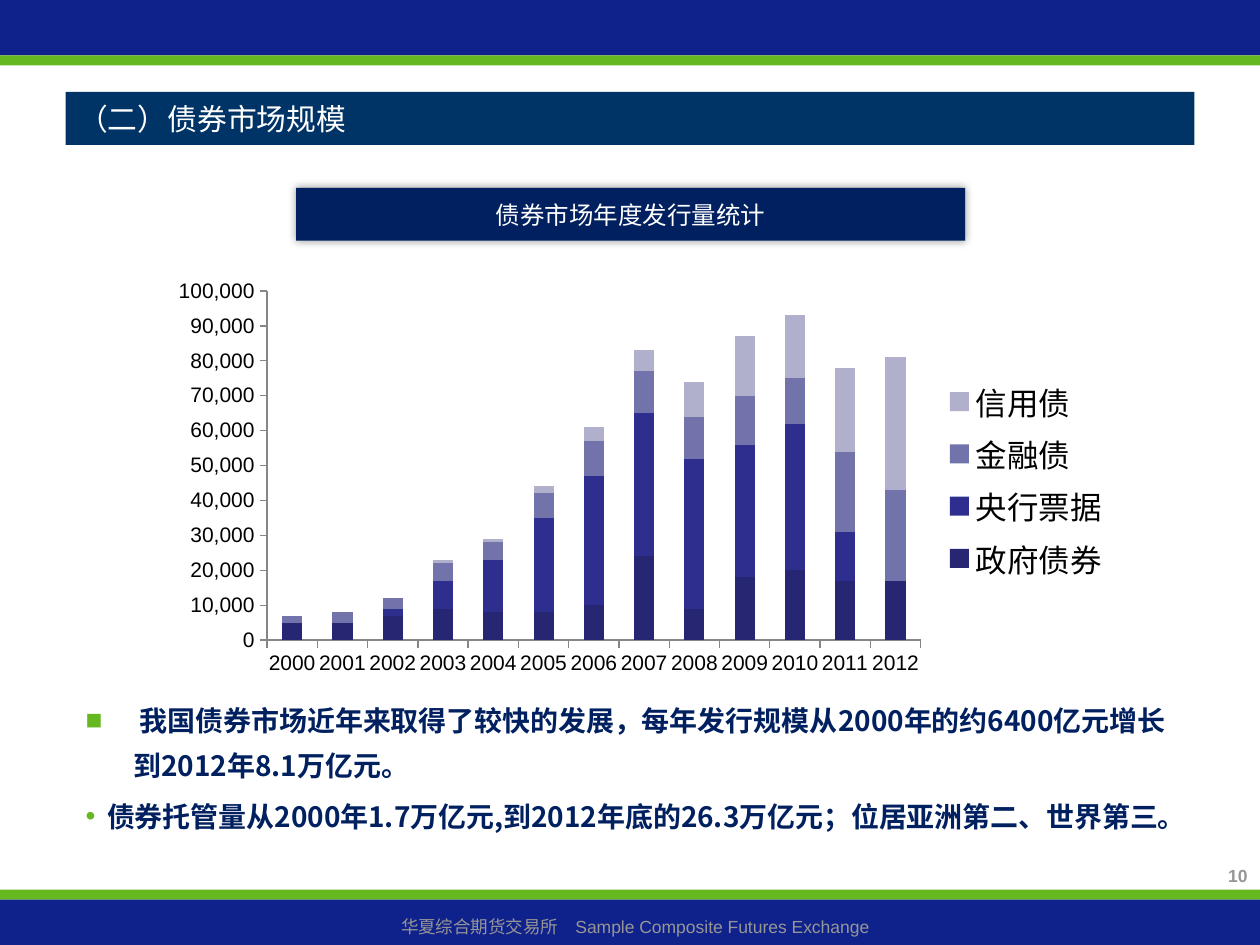
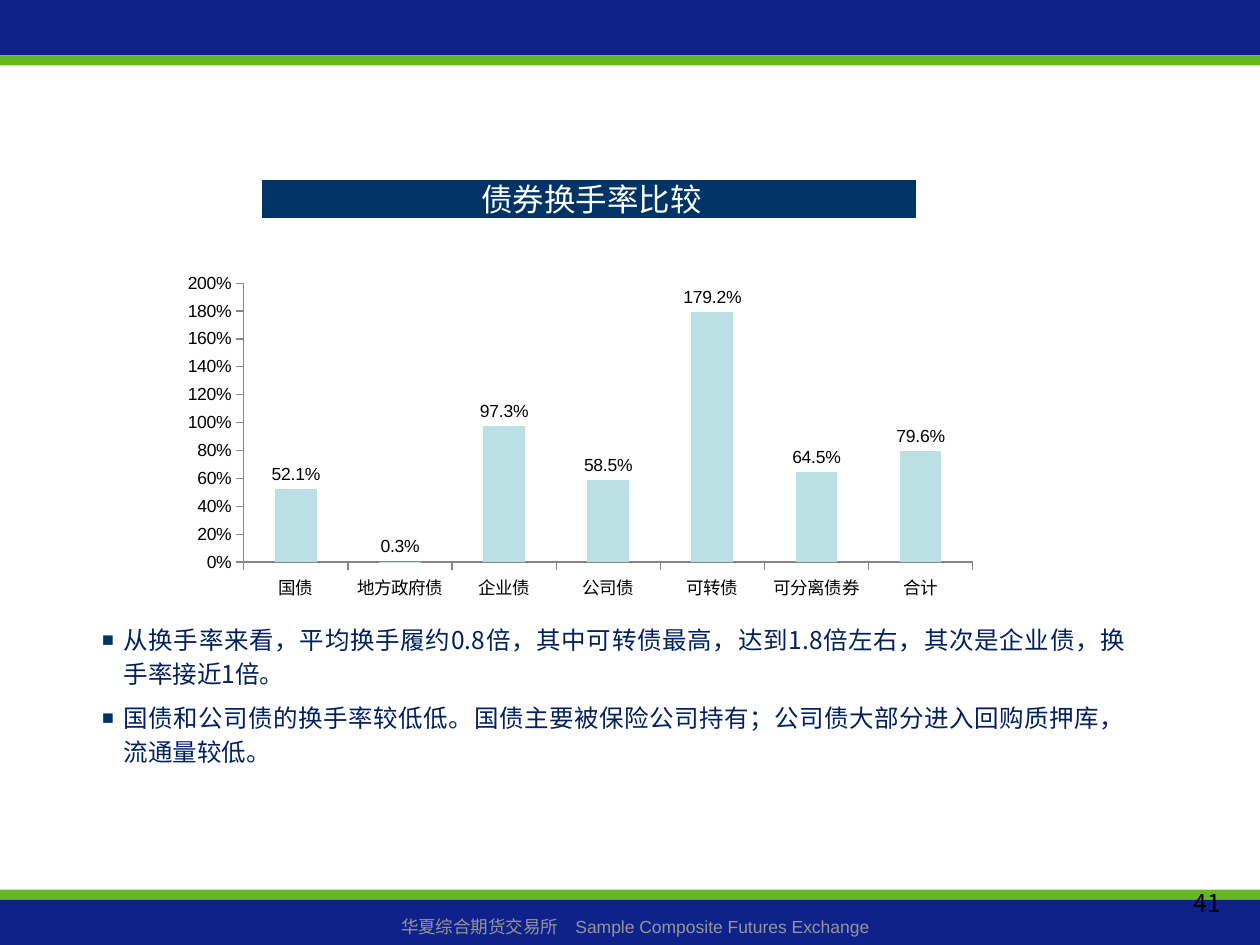
"""Builds two bond market slides: yearly issuance and turnover rates."""
from dataclasses import dataclass

from lxml import etree
from pptx import Presentation
from pptx.chart.data import CategoryChartData
from pptx.dml.color import RGBColor
from pptx.enum.chart import XL_CHART_TYPE, XL_LABEL_POSITION, XL_LEGEND_POSITION, XL_TICK_MARK
from pptx.enum.shapes import MSO_SHAPE
from pptx.enum.text import MSO_ANCHOR, MSO_AUTO_SIZE, PP_ALIGN
from pptx.oxml.ns import qn
from pptx.util import Inches, Pt

LEFT, CENTER, RIGHT, JUSTIFY = PP_ALIGN.LEFT, PP_ALIGN.CENTER, PP_ALIGN.RIGHT, PP_ALIGN.JUSTIFY
TOP, MIDDLE = MSO_ANCHOR.TOP, MSO_ANCHOR.MIDDLE
NO_AUTOFIT = MSO_AUTO_SIZE.NONE
RECTANGLE = MSO_SHAPE.RECTANGLE
STACKED, CLUSTERED = XL_CHART_TYPE.COLUMN_STACKED, XL_CHART_TYPE.COLUMN_CLUSTERED
TICK_OUTSIDE = XL_TICK_MARK.OUTSIDE
LEGEND_RIGHT = XL_LEGEND_POSITION.RIGHT
LABEL_ABOVE = XL_LABEL_POSITION.OUTSIDE_END


@dataclass(frozen=True)
class Theme:
    """Colours, fonts and type sizes."""
    band: str = "0F218B"
    stripe: str = "66B821"
    title: str = "003366"
    navy: str = "002060"
    white: str = "FFFFFF"
    black: str = "000000"
    grey: str = "969696"
    axis: str = "868686"
    turnover: str = "BBE0E3"
    issuance: tuple = ("262673", "2E2E8F", "7373AB", "B0B0CD")
    cjk: str = "Noto Sans CJK SC"
    latin: str = "Arial"
    small: int = 10
    axis_label: int = 12
    text: int = 14
    strong: int = 16
    heading: int = 17
    large: int = 18


theme = Theme()


def write(shape, lines, size, color, align=LEFT, anchor=TOP, bold=False, font=theme.cjk,
          bullets=(), spacing=1.0, before=0, after=0, insets=(0.1, 0.05, 0.1, 0.05)):
    """Fill a shape with formatted paragraphs; a bullet is (sign, color, percent, indent)."""
    frame = shape.text_frame
    frame.text = "\n".join(lines)
    frame.word_wrap = True
    frame.auto_size = NO_AUTOFIT
    frame.vertical_anchor = anchor
    (frame.margin_left, frame.margin_top,
     frame.margin_right, frame.margin_bottom) = map(Inches, insets)
    for index, para in enumerate(frame.paragraphs):
        para.alignment = align
        para.line_spacing = spacing
        para.space_before = Pt(before if index else 0)
        para.space_after = Pt(after)
        properties = para._p.get_or_add_pPr()
        if bullets:
            sign, sign_color, percent, indent = bullets[index]
            properties.set("marL", str(Inches(indent)))
            properties.set("indent", str(-Inches(indent)))
            bullet_color = etree.SubElement(properties, qn("a:buClr"))
            etree.SubElement(bullet_color, qn("a:srgbClr"), val=sign_color)
            etree.SubElement(properties, qn("a:buSzPct"), val=str(percent * 1000))
            etree.SubElement(properties, qn("a:buFont"), typeface=theme.latin)
            etree.SubElement(properties, qn("a:buChar"), char=sign)
        para.font.size = Pt(size)
        para.font.bold = bold
        para.font.name = font
        para.font.color.rgb = RGBColor.from_string(color)
        etree.SubElement(properties.find(qn("a:defRPr")), qn("a:ea"), typeface=theme.cjk)


def add_columns(page, kind, box, plot_area, data, colors, size, number_format, top, step):
    """Add a column chart with the common axis style."""
    chart = page.shapes.add_chart(kind, *map(Inches, box), data).chart
    chart.has_title = False
    chart.has_legend = False
    chart.font.name = theme.latin
    chart.font.size = Pt(size)
    chart.font.color.rgb = RGBColor.from_string(theme.black)
    for axis in (chart.category_axis, chart.value_axis):
        axis.has_major_gridlines = False
        axis.major_tick_mark = TICK_OUTSIDE
        axis.format.line.color.rgb = RGBColor.from_string(theme.axis)
        axis.tick_labels.font.size = Pt(size)
    chart.value_axis.minimum_scale = 0
    chart.value_axis.maximum_scale = top
    chart.value_axis.major_unit = step
    chart.value_axis.tick_labels.number_format = number_format
    chart.value_axis.tick_labels.number_format_is_linked = False
    plot = chart.plots[0]
    plot.vary_by_categories = False
    plot.gap_width = 150
    for series, color in zip(plot.series, colors):
        series.format.fill.solid()
        series.format.fill.fore_color.rgb = RGBColor.from_string(color)
    area = chart.element.find(".//" + qn("c:plotArea"))
    for old_layout in area.findall(qn("c:layout")):
        area.remove(old_layout)
    layout = etree.Element(qn("c:layout"))
    area.insert(0, layout)
    manual = etree.SubElement(layout, qn("c:manualLayout"))
    settings = [("layoutTarget", "inner"), ("xMode", "edge"), ("yMode", "edge"),
                *zip("xywh", plot_area)]
    for name, value in settings:
        etree.SubElement(manual, qn("c:" + name), val=str(value))
    return chart


deck = Presentation()
deck.slide_width, deck.slide_height = Inches(10), Inches(7.5)
layout = deck.slide_layouts[1]
issuance_page = deck.slides.add_slide(layout)
turnover_page = deck.slides.add_slide(layout)

bands = [(0, 0.44, theme.band), (7.06, 0.08, theme.stripe),
         (0.44, 0.08, theme.stripe), (7.14, 0.36, theme.band)]
for top, height, color in bands:
    band = issuance_page.shapes.add_shape(RECTANGLE, 0, Inches(top), Inches(10), Inches(height))
    band.shadow.inherit = False
    band.fill.solid()
    band.fill.fore_color.rgb = RGBColor.from_string(color)
    band.line.fill.background()
    layout.shapes.element.append(band.element)
footer = issuance_page.shapes.add_textbox(Inches(0.08), Inches(7.22), Inches(9.92), Inches(0.27))
write(footer, ["华夏综合期货交易所　Sample Composite Futures Exchange"],
      theme.small, theme.grey, CENTER, font=theme.latin)
layout.shapes.element.append(footer.element)

titles = [
    (issuance_page, (0.52, 0.73, 8.96, 0.42), "（二）债券市场规模", theme.heading, LEFT,
     (0.1, 0.05, 0.1, 0.05)),
    (turnover_page, (2.08, 1.43, 5.19, 0.3), "债券换手率比较", theme.large, CENTER,
     (0.12, 0, 0.08, 0)),
]
for page, box, text, size, align, insets in titles:
    title = page.shapes.title
    title.left, title.top, title.width, title.height = map(Inches, box)
    title.fill.solid()
    title.fill.fore_color.rgb = RGBColor.from_string(theme.title)
    write(title, [text], size, theme.white, align, MIDDLE, insets=insets)

issuance_points = issuance_page.placeholders[1]
turnover_points = turnover_page.placeholders[1]
for body, box in [(issuance_points, (0.58, 5.44, 8.93, 1.89)),
                  (turnover_points, (0.72, 4.53, 8.3, 1.95))]:
    body.left, body.top, body.width, body.height = map(Inches, box)
write(issuance_points,
      [" 我国债券市场近年来取得了较快的发展，每年发行规模从2000年的约6400亿元增长到2012年8.1万亿元。",
       "债券托管量从2000年1.7万亿元,到2012年底的26.3万亿元；位居亚洲第二、世界第三。"],
      theme.strong, theme.navy, bold=True, spacing=1.35, before=3.2,
      bullets=[("■", theme.stripe, 100, 0.38), ("•", theme.stripe, 100, 0.17)])
write(turnover_points,
      ["从换手率来看，平均换手履约0.8倍，其中可转债最高，达到1.8倍左右，其次是企业债，换手率接近1倍。",
       "国债和公司债的换手率较低低。国债主要被保险公司持有；公司债大部分进入回购质押库，流通量较低。"],
      theme.text, theme.navy, JUSTIFY, MIDDLE, spacing=1.15, before=2.8, after=2.8,
      bullets=[("■", theme.title, 80, 0.17)] * 2, insets=(0.09, 0.04, 0.09, 0.04))

page_numbers = [
    (issuance_page, (8.03, 6.82, 1.97, 0.36), "10", theme.small, theme.grey, True, theme.latin),
    (turnover_page, (7.46, 7, 2.33, 0.35), "41", theme.text, theme.black, False, theme.cjk),
]
for page, box, number, size, color, bold, font in page_numbers:
    number_box = page.shapes.add_textbox(*map(Inches, box))
    write(number_box, [number], size, color, RIGHT, bold=bold, font=font)

caption = issuance_page.shapes.add_shape(
    RECTANGLE, Inches(2.35), Inches(1.49), Inches(5.31), Inches(0.42))
caption.shadow.inherit = False
caption.fill.solid()
caption.fill.fore_color.rgb = RGBColor.from_string(theme.navy)
caption.line.fill.background()
effects = caption.element.spPr.find(qn("a:effectLst"))
shadow = etree.SubElement(effects, qn("a:outerShdw"), blurRad=str(Pt(5)), dist="0", dir="0")
shadow_color = etree.SubElement(shadow, qn("a:srgbClr"), val=theme.black)
etree.SubElement(shadow_color, qn("a:alpha"), val="40000")
write(caption, ["债券市场年度发行量统计"], theme.text, theme.white, CENTER, MIDDLE)

issuance = CategoryChartData(number_format="#,##0")
issuance.categories = [str(year) for year in range(2000, 2013)]
thousands = {
    "政府债券": [5, 5, 7, 9, 8, 8, 10, 24, 9, 18, 20, 17, 17],
    "央行票据": [0, 0, 2, 8, 15, 27, 37, 41, 43, 38, 42, 14, 0],
    "金融债": [2, 3, 3, 5, 5, 7, 10, 12, 12, 14, 13, 23, 26],
    "信用债": [0, 0, 0, 1, 1, 2, 4, 6, 10, 17, 18, 24, 38],
}
for name, amounts in thousands.items():
    issuance.add_series(name, [amount * 1000 for amount in amounts])
issuance_chart = add_columns(
    issuance_page, STACKED, (1.28, 2.18, 7.63, 3.26), (0.11, 0.04, 0.68, 0.85), issuance,
    theme.issuance, theme.axis_label, "#,##0", 100000, 10000)
issuance_chart.plots[0].overlap = 100
issuance_chart.has_legend = True
issuance_chart.legend.position = LEGEND_RIGHT
issuance_chart.legend.include_in_layout = False
issuance_chart.legend.font.size = Pt(theme.large)

turnover = CategoryChartData(number_format="0.0%")
turnover.categories = ["国债", "地方政府债", "企业债", "公司债", "可转债", "可分离债券", "合计"]
turnover.add_series("换手率", [0.521, 0.003, 0.973, 0.585, 1.792, 0.645, 0.796])
turnover_chart = add_columns(
    turnover_page, CLUSTERED, (1.35, 2.14, 6.5, 2.7), (0.09, 0.04, 0.89, 0.82), turnover,
    [theme.turnover], theme.small, "0%", 2, 0.2)
turnover_plot = turnover_chart.plots[0]
turnover_plot.has_data_labels = True
labels = turnover_plot.data_labels
labels.show_value = True
labels.number_format = "0.0%"
labels.number_format_is_linked = False
labels.position = LABEL_ABOVE
labels.font.size = Pt(theme.small)

deck.save("out.pptx")
